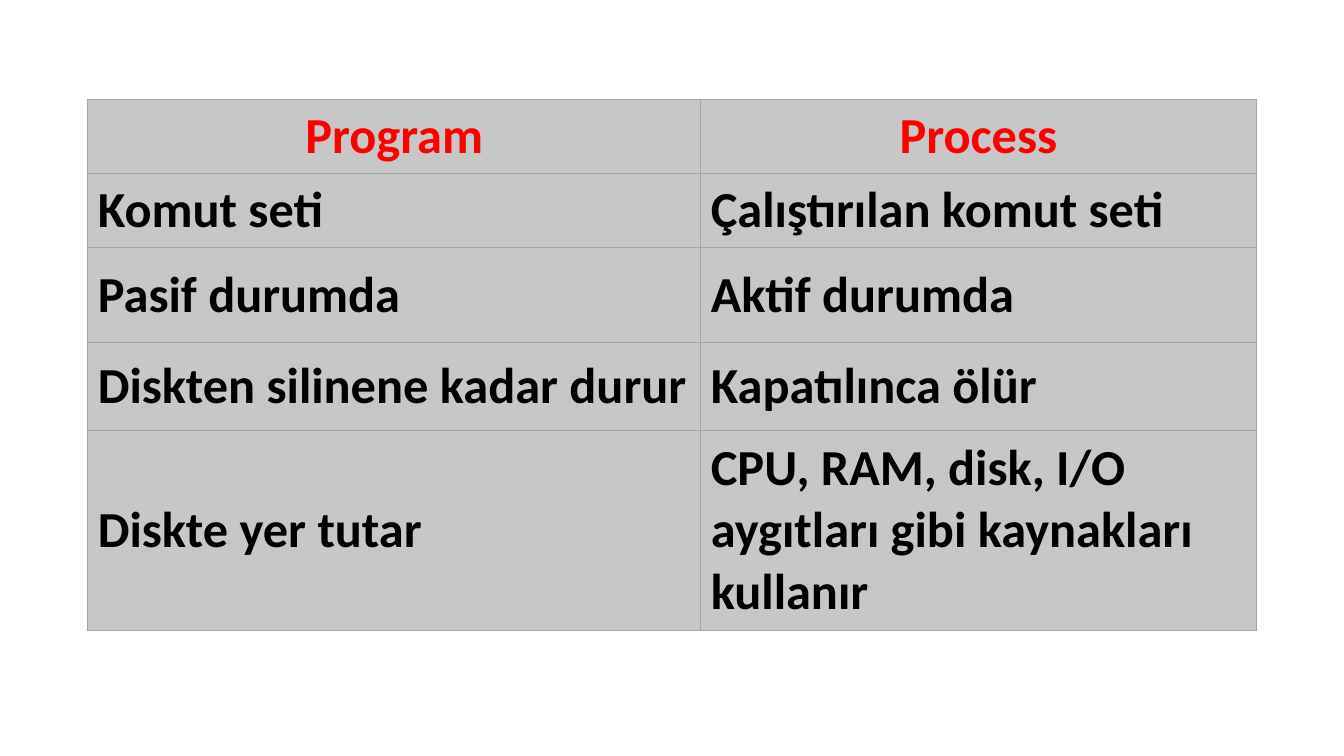
from dataclasses import dataclass

from lxml.etree import SubElement
from pptx import Presentation
from pptx.dml.color import RGBColor
from pptx.enum.text import MSO_ANCHOR, PP_ALIGN
from pptx.oxml.ns import qn
from pptx.table import _Cell as Cell
from pptx.util import Inches, Pt


@dataclass(frozen=True)
class Theme:
    font: str = "Calibri"
    text_size: int = 36
    heading: str = "FF0000"
    body: str = "000000"
    fill: str = "C7C7C7"
    border: str = "A5A5A5"
    border_width: float = 0.5


@dataclass(frozen=True)
class Comparison:
    program: str
    process: str
    height: float
    is_heading: bool = False


THEME = Theme()
COLUMN_WIDTHS = (6.08, 5.51)
COMPARISONS = (
    Comparison("Program", "Process", 0.73, is_heading=True),
    Comparison("Komut seti", "Çalıştırılan komut seti", 0.73),
    Comparison("Pasif durumda", "Aktif durumda", 0.95),
    Comparison("Diskten silinene kadar durur", "Kapatılınca ölür", 0.87),
    Comparison(
        "Diskte yer tutar",
        "CPU, RAM, disk, I/O aygıtları gibi kaynakları kullanır",
        1.98,
    ),
)


def add_borders(cell: Cell) -> None:
    properties = cell._tc.get_or_add_tcPr()
    for position, side in enumerate(("a:lnL", "a:lnR", "a:lnT", "a:lnB")):
        line = SubElement(properties, qn(side), w=str(Pt(THEME.border_width)))
        solid = SubElement(line, qn("a:solidFill"))
        SubElement(solid, qn("a:srgbClr"), val=THEME.border)
        properties.insert(position, line)


def write_cell(cell: Cell, text: str, is_heading: bool) -> None:
    cell.fill.solid()
    cell.fill.fore_color.rgb = RGBColor.from_string(THEME.fill)
    cell.vertical_anchor = MSO_ANCHOR.MIDDLE
    add_borders(cell)
    paragraph = cell.text_frame.paragraphs[0]
    paragraph.alignment = PP_ALIGN.CENTER if is_heading else PP_ALIGN.LEFT
    run = paragraph.add_run()
    run.text = text
    run.font.name = THEME.font
    run.font.size = Pt(THEME.text_size)
    run.font.bold = True
    color = THEME.heading if is_heading else THEME.body
    run.font.color.rgb = RGBColor.from_string(color)


def main() -> None:
    presentation = Presentation()
    presentation.slide_width = Inches(13.33)
    presentation.slide_height = Inches(7.5)
    slide = presentation.slides.add_slide(presentation.slide_layouts[6])
    table = slide.shapes.add_table(
        len(COMPARISONS),
        len(COLUMN_WIDTHS),
        Inches(0.87),
        Inches(0.99),
        Inches(sum(COLUMN_WIDTHS)),
        Inches(sum(comparison.height for comparison in COMPARISONS)),
    ).table
    table.horz_banding = False
    for column, width in zip(table.columns, COLUMN_WIDTHS):
        column.width = Inches(width)
    for row, comparison in zip(table.rows, COMPARISONS):
        row.height = Inches(comparison.height)
        for cell, text in zip(row.cells, (comparison.program, comparison.process)):
            write_cell(cell, text, comparison.is_heading)
    presentation.save("out.pptx")


if __name__ == "__main__":
    main()
